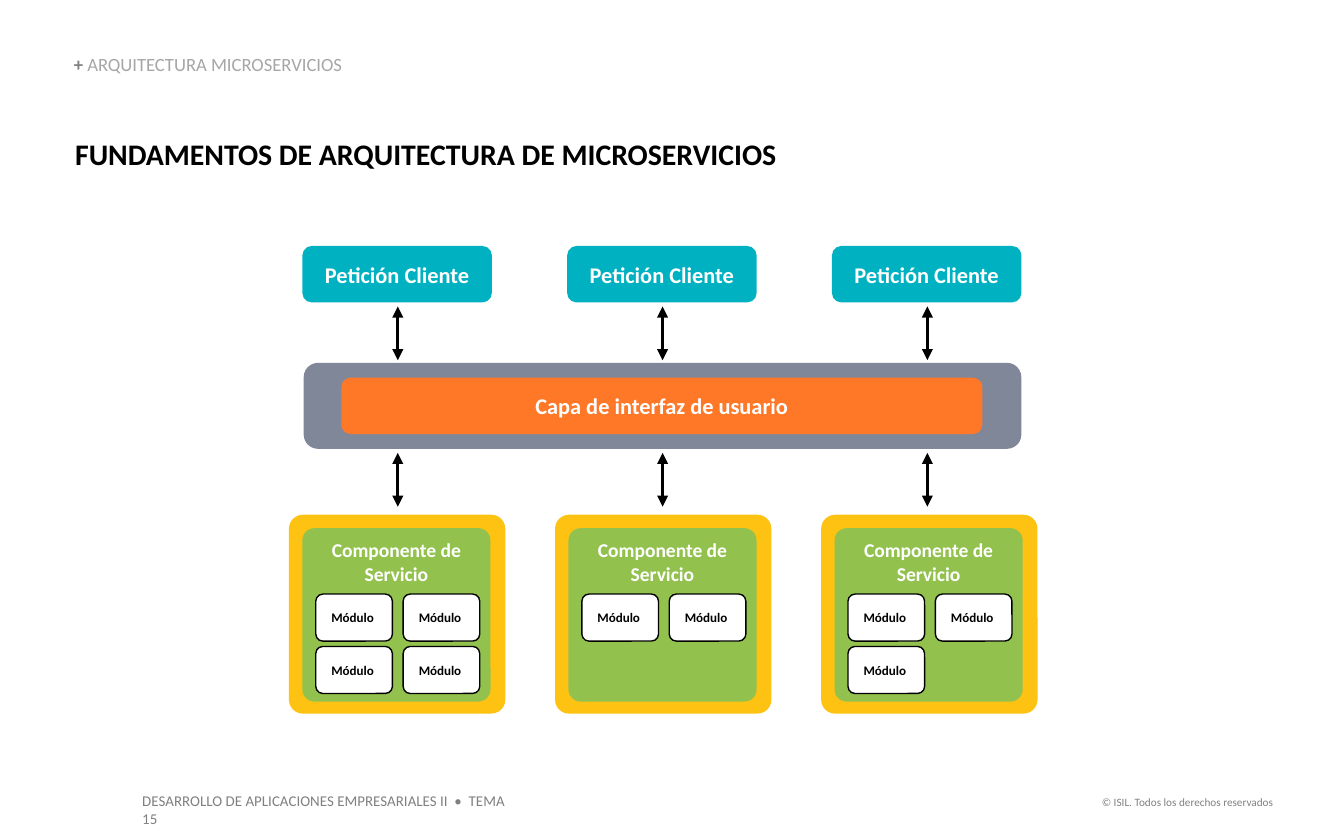
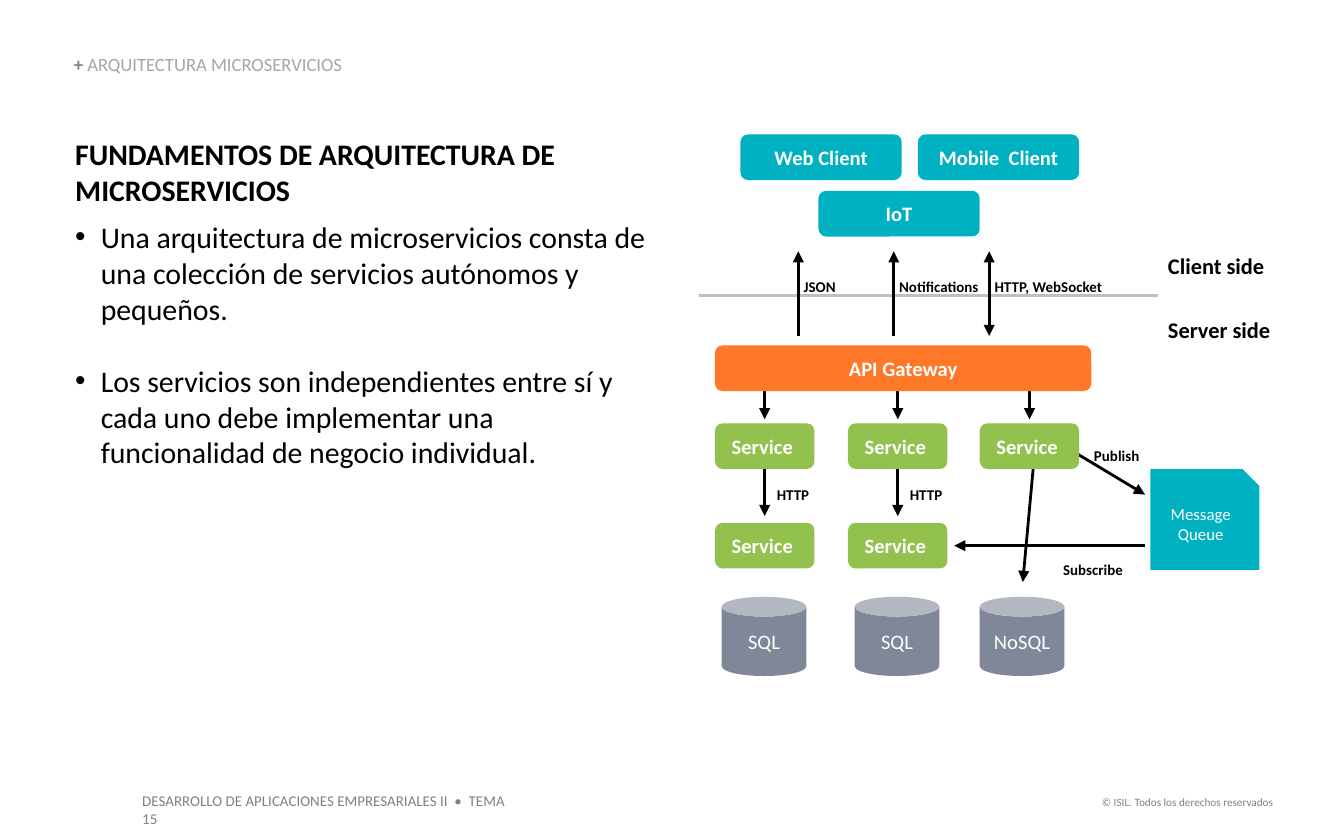
import pptx
import pptx.util
import pptx.dml.color
import pptx.enum.shapes
import pptx.enum.text
import pptx.oxml
import pptx.oxml.ns

SHAPE = pptx.enum.shapes.MSO_SHAPE
ALIGN = pptx.enum.text.PP_ALIGN
ANCHOR = pptx.enum.text.MSO_ANCHOR
EMU_PER_PX = 9144
FONT = "Calibri"
BLACK, WHITE = "000000", "FFFFFF"
GREY, LIGHT_GREY, RULE_GREY = "808080", "A6A6A6", "BFBFBF"
TEAL, ORANGE, GREEN, YELLOW, SLATE = "00B1C2", "FE7828", "92C14E", "FDC212", "808799"
TITLE = "FUNDAMENTOS DE ARQUITECTURA DE MICROSERVICIOS"


def px(*values):
    return [pptx.util.Emu(v * EMU_PER_PX) for v in values]


def rgb(color):
    return pptx.dml.color.RGBColor.from_string(color)


def add_xml(parent, tag, **attrs):
    el = pptx.oxml.parse_xml(f"<a:{tag} {pptx.oxml.ns.nsdecls('a')}/>")
    for name, value in attrs.items():
        el.set(name, value)
    parent.append(el)
    return el


def write(p, text, size=12, color=BLACK, bold=False, align=None,
          bullet=False, before=None, after=None, spacing=None):
    if bullet:
        pPr = p._p.get_or_add_pPr()
        indent = 19 * EMU_PER_PX
        pPr.set("marL", str(indent))
        pPr.set("indent", str(-indent))
        add_xml(add_xml(pPr, "buClr"), "srgbClr", val=BLACK)
        add_xml(pPr, "buFont", typeface="Arial")
        add_xml(pPr, "buChar", char="•")
    if align is not None:
        p.alignment = align
    if before is not None:
        p.space_before = pptx.util.Pt(before)
    if after is not None:
        p.space_after = pptx.util.Pt(after)
    if spacing is not None:
        p.line_spacing = spacing
    r = p.add_run()
    r.text = text
    r.font.name = FONT
    r.font.size = pptx.util.Pt(size)
    r.font.bold = bold
    r.font.color.rgb = rgb(color)


class Deck:
    """Holds the presentation, its style and the current slide."""

    def __init__(self):
        self.prs = pptx.Presentation()
        self.prs.slide_width, self.prs.slide_height = px(1000, 625)

    def new_slide(self):
        self.s = self.prs.slides.add_slide(self.prs.slide_layouts[6])
        tf = self.textbox(807, 587, 150, 20, inset=None)
        write(tf.paragraphs[0], "© ISIL. Todos los derechos reservados",
              size=6, color=GREY, align=ALIGN.RIGHT)
        tf = self.textbox(96, 584, 302, 24, inset=None)
        write(tf.paragraphs[0], "DESARROLLO DE APLICACIONES EMPRESARIALES II  •  TEMA 15",
              size=8, color=GREY)
        p = self.textbox(55, 41, 266, 15, anchor=ANCHOR.BOTTOM).paragraphs[0]
        write(p, "+ ", size=10, color=GREY, bold=True, spacing=0.9)
        write(p, "ARQUITECTURA MICROSERVICIOS", size=10, color=LIGHT_GREY)

    def title(self, w, h):
        tf = self.textbox(56, 101, w, h)
        write(tf.paragraphs[0], TITLE, size=16, bold=True, after=6)
        return tf

    def textbox(self, x, y, w, h, anchor=ANCHOR.TOP, inset=0):
        tf = self.s.shapes.add_textbox(*px(x, y, w, h)).text_frame
        tf.word_wrap = True
        tf.auto_size = pptx.enum.text.MSO_AUTO_SIZE.SHAPE_TO_FIT_TEXT
        tf.vertical_anchor = anchor
        if inset is not None:
            self.set_sides(tf, inset)
            tf.margin_top = tf.margin_bottom = 0
        return tf

    def set_sides(self, tf, inset):
        tf.margin_left = tf.margin_right = px(inset)[0]

    def label(self, text, x, y, w, h=22, size=8):
        tf = self.textbox(x, y, w, h, anchor=ANCHOR.MIDDLE)
        write(tf.paragraphs[0], text, size=size, bold=True)

    def box(self, x, y, w, h, fill, text="", kind=SHAPE.ROUNDED_RECTANGLE, adj=None,
            line=None, anchor=ANCHOR.MIDDLE, inset=10, size=11, color=WHITE, bold=True):
        sp = self.s.shapes.add_shape(kind, *px(x, y, w, h))
        sp.shadow.inherit = False
        sp.fill.solid()
        sp.fill.fore_color.rgb = rgb(fill)
        if line:
            sp.line.color.rgb = rgb(line)
            sp.line.width = pptx.util.Pt(0.75)
        else:
            sp.line.fill.background()
        if adj is not None:
            sp.adjustments[0] = adj
        tf = sp.text_frame
        tf.word_wrap = True
        tf.vertical_anchor = anchor
        self.set_sides(tf, inset)
        if text:
            write(tf.paragraphs[0], text, size=size, color=color, bold=bold,
                  align=ALIGN.CENTER)

    def line(self, x1, y1, x2, y2, color=BLACK, head=False, tail=False):
        cx = self.s.shapes.add_connector(
            pptx.enum.shapes.MSO_CONNECTOR.STRAIGHT, *px(x1, y1, x2, y2))
        cx.line.color.rgb = rgb(color)
        cx.line.width = pptx.util.Pt(1.5)
        ln = cx.line._get_or_add_ln()
        if head:
            add_xml(ln, "headEnd", type="triangle")
        if tail:
            add_xml(ln, "tailEnd", type="triangle")
        add_xml(cx._element.spPr, "effectLst")


def layers_slide(deck):
    deck.new_slide()
    deck.title(700, 35)
    for i in range(3):
        x = 225 + 197 * i
        deck.box(x, 183, 141, 42, TEAL, "Petición Cliente", size=12)
        for y in (228, 337):
            deck.line(x + 71, y, x + 71, y + 40, head=True, tail=True)
    deck.box(226, 270, 534, 64, SLATE)
    deck.box(254, 281, 477, 42, ORANGE, "Capa de interfaz de usuario", size=12)
    for i, modules in enumerate((4, 2, 3)):
        component(deck, 215 + 198 * i, 383, modules)


def component(deck, x, y, modules):
    deck.box(x, y, 161, 148, YELLOW, adj=0.07)
    deck.box(x + 10, y + 10, 140, 129, GREEN, "Componente de Servicio",
             adj=0.07, anchor=ANCHOR.TOP, size=10.5)
    for n in range(modules):
        row, col = divmod(n, 2)
        deck.box(x + 20 + 65 * col, y + 59 + 39 * row, 57, 35, WHITE, "Módulo ",
                 adj=0.15, line=BLACK, size=7, color=BLACK)


def gateway_slide(deck):
    deck.new_slide()
    tf = deck.title(425, 251)
    write(tf.add_paragraph(), "Una arquitectura de microservicios consta de una colección "
          "de servicios autónomos y pequeños.", size=16, bullet=True)
    write(tf.add_paragraph(), "Los servicios son independientes entre sí y cada uno debe "
          "implementar una funcionalidad de negocio individual.",
          size=16, bullet=True, before=19.5)

    deck.line(520, 220, 862, 220, color=RULE_GREY)
    for text, x, y in (("Web Client", 551, 100), ("Mobile  Client", 683, 100),
                       ("IoT", 609, 142)):
        deck.box(x, y, 120, 34, TEAL, text)
    for text, x, w, both in (("JSON", 594, 42, False), ("Notifications", 665, 69, False),
                             ("HTTP, WebSocket", 736, 91, True)):
        deck.line(x, 187, x, 250, head=True, tail=both)
        deck.label(text, x + 4, 202, w)
    for text, y in (("Client side", 183), ("Server side", 231)):
        deck.label(text, 869, y, 79, 29, size=12)

    deck.line(761, 433, 769, 346, head=True)
    deck.line(852, 368, 792, 332, head=True)
    deck.line(710, 406, 852, 406, head=True)
    for x, database, db_x, chained in ((532, "SQL", 537, True), (631, "SQL", 636, True),
                                       (729, "NoSQL", 729, False)):
        mid = x + 37
        deck.line(mid, 312, mid, 274, head=True)
        if chained:
            deck.line(mid, 384, mid, 346, head=True)
            deck.label("HTTP", mid + 9, 357, 27)
            deck.box(x, 389, 74, 34, GREEN, "Service ")
        deck.box(x, 315, 74, 34, GREEN, "Service ")
        deck.box(db_x, 444, 63, 59, SLATE, database, kind=SHAPE.CAN, inset=5, bold=False)
    deck.label("Subscribe", 791, 413, 56)
    deck.label("Publish", 814, 328, 56)
    deck.box(856, 349, 81, 75, TEAL, "Message Queue", kind=SHAPE.SNIP_1_RECTANGLE,
             size=9, bold=False)
    deck.box(532, 257, 280, 34, ORANGE, "API Gateway")


def main():
    deck = Deck()
    layers_slide(deck)
    gateway_slide(deck)
    deck.prs.save("out.pptx")


if __name__ == "__main__":
    main()
